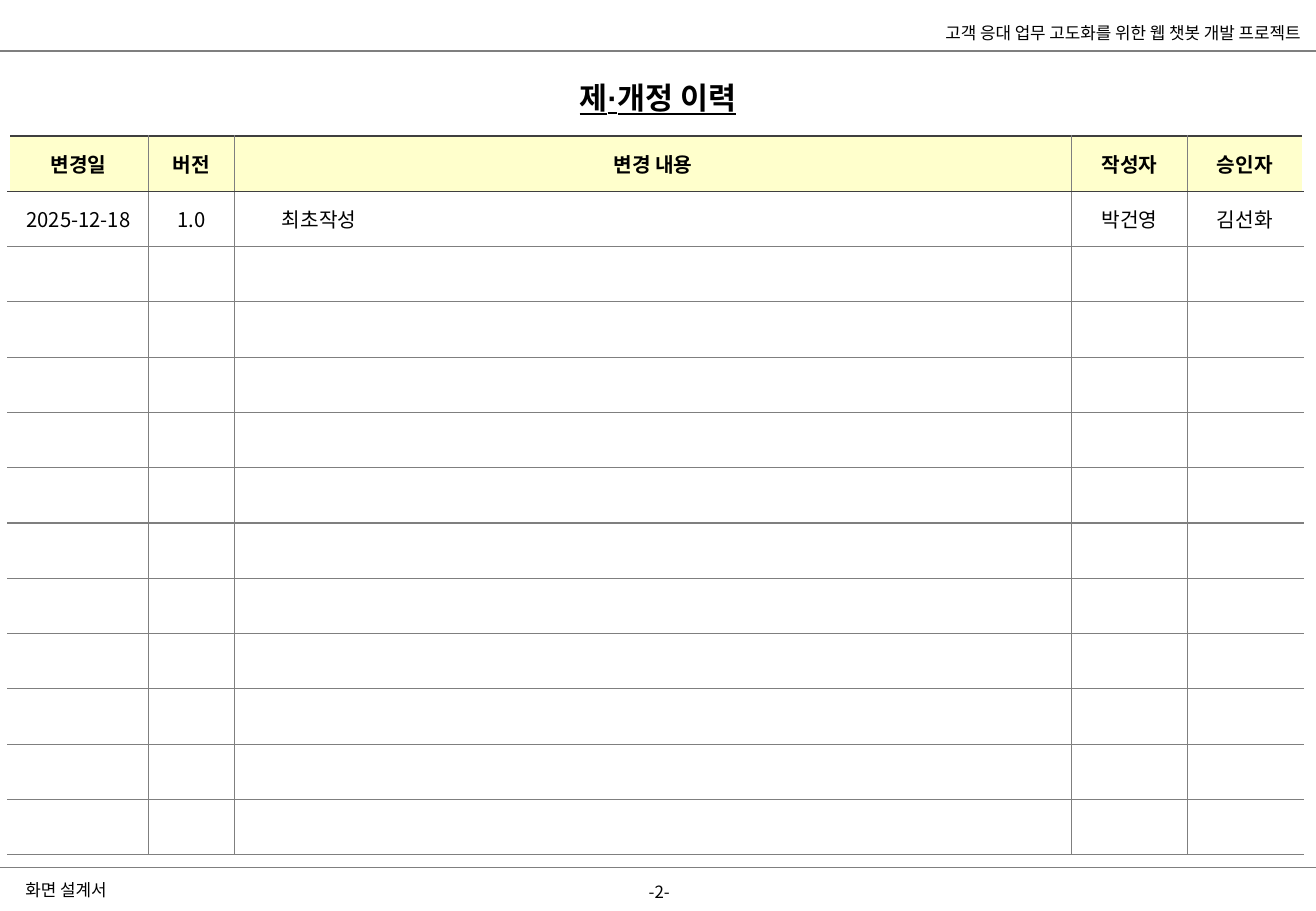
from lxml import etree
from pptx import Presentation
from pptx.dml.color import RGBColor
from pptx.enum.shapes import MSO_CONNECTOR
from pptx.enum.text import MSO_ANCHOR, MSO_AUTO_SIZE, PP_ALIGN
from pptx.oxml.ns import qn
from pptx.util import Inches, Pt

LEFT, CENTER, RIGHT = PP_ALIGN.LEFT, PP_ALIGN.CENTER, PP_ALIGN.RIGHT
TOP, MIDDLE = MSO_ANCHOR.TOP, MSO_ANCHOR.MIDDLE
STRAIGHT = MSO_CONNECTOR.STRAIGHT
NO_FIT = MSO_AUTO_SIZE.NONE

BLACK = RGBColor(0x00, 0x00, 0x00)
WHITE = RGBColor(0xFF, 0xFF, 0xFF)
GRAY = RGBColor(0x7F, 0x7F, 0x7F)
DARK = RGBColor(0x3F, 0x3F, 0x3F)
CREAM = RGBColor(0xFF, 0xFF, 0xCC)

FONT = "Noto Sans CJK KR"
TITLE_FONT = "Arial"
SLIDE_W, SLIDE_H = 10.83, 7.5

COLUMNS = [1.15, 0.71, 6.89, 0.95, 0.95]
HEADERS = ["변경일", "버전", "변경 내용", "작성자", "승인자"]
REVISIONS = [["2025-12-18", "1.0", "최초작성", "박건영", "김선화"]]
ROW_COUNT = 13
CONTENT_COL = 2


def write(tf, text, align=CENTER, font=FONT, **formats):
    p = tf.paragraphs[0]
    p.alignment = align
    r = p.add_run()
    r.text = text
    r.font.name = font
    r.font.color.rgb = BLACK
    for name, value in formats.items():
        setattr(r.font, name, value)
    ea = etree.SubElement(r.font._element, qn("a:ea"))
    ea.set("typeface", FONT)


def set_frame(frame, anchor, margins):
    frame.vertical_anchor = anchor
    for side, value in zip(("left", "top", "right", "bottom"), margins):
        setattr(frame, f"margin_{side}", Inches(value))


def add_label(s, box, text, align, anchor=MIDDLE, margins=(0, 0.04, 0, 0.04)):
    tf = s.shapes.add_textbox(*map(Inches, box)).text_frame
    tf.word_wrap = True
    set_frame(tf, anchor, margins)
    write(tf, text, align, size=Pt(10))


def add_rule(s, y, width):
    line = s.shapes.add_connector(STRAIGHT, 0, Inches(y), Inches(SLIDE_W), Inches(y))
    line.line.color.rgb = GRAY
    line.line.width = Pt(width)
    etree.SubElement(line._element.spPr, qn("a:effectLst"))


def set_borders(cell, borders):
    tcPr = cell._tc.get_or_add_tcPr()
    for i, (side, (color, width)) in enumerate(borders.items()):
        ln = etree.Element(qn(f"a:ln{side}"), w=str(Pt(width)))
        fill = etree.SubElement(ln, qn("a:solidFill"))
        etree.SubElement(fill, qn("a:srgbClr"), val=str(color))
        tcPr.insert(i, ln)


def add_header(s):
    add_label(s, (7.23, 0.18, 3.47, 0.18),
              "고객 응대 업무 고도화를 위한 웹 챗봇 개발 프로젝트", RIGHT)
    add_rule(s, 0.42, 1.5)


def add_footer(s, top):
    add_rule(s, top, 0.75)
    add_label(s, (0.21, top + 0.07, 4.74, 0.23), "화면 설계서", LEFT)
    add_label(s, (5.18, top + 0.07, 0.49, 0.27), "-2-", CENTER, TOP,
              (0.1, 0.05, 0.1, 0.05))


def add_title(s, box):
    title = s.shapes.title
    title.left, title.top, title.width, title.height = map(Inches, box)
    tf = title.text_frame
    tf.word_wrap = True
    tf.auto_size = NO_FIT
    set_frame(tf, TOP, (0.1, 0.05, 0.1, 0.05))
    write(tf, "제·개정 이력", font=TITLE_FONT, size=Pt(18), bold=True, underline=True)


def add_history(s, box):
    table = s.shapes.add_table(ROW_COUNT, len(COLUMNS), *map(Inches, box)).table
    for column, width in zip(table.columns, COLUMNS):
        column.width = Inches(width)
    texts = [HEADERS] + REVISIONS
    last_col = len(COLUMNS) - 1
    for i in range(ROW_COUNT):
        header = i == 0
        for j in range(len(COLUMNS)):
            cell = table.cell(i, j)
            cell.fill.solid()
            cell.fill.fore_color.rgb = CREAM if header else WHITE
            # White outer sides leave the table open at left and right
            set_borders(cell, {
                "L": (WHITE, 1.5) if j == 0 else (GRAY, 0.75),
                "R": (WHITE, 1.5) if j == last_col else (GRAY, 0.75),
                "T": (DARK, 1.5) if header else (DARK if i == 1 else GRAY, 0.75),
                "B": (DARK if header else GRAY, 0.75),
            })
            if i >= len(texts):
                continue
            content = j == CONTENT_COL and not header
            left = 0.39 if content else 0.05
            set_frame(cell, MIDDLE, (0.14, 0.06, 0.14, 0.06) if header
                      else (left, 0.05, 0.05, 0.05))
            write(cell.text_frame, texts[i][j], LEFT if content else CENTER,
                  size=Pt(12), bold=header)


def main():
    prs = Presentation()
    prs.slide_width, prs.slide_height = Inches(SLIDE_W), Inches(SLIDE_H)
    s = prs.slides.add_slide(prs.slide_layouts[5])
    add_header(s)
    add_footer(s, 7.14)
    add_history(s, (0.07, 1.12, sum(COLUMNS), 5.92))
    add_title(s, (4.51, 0.6, 1.81, 0.63))
    prs.save("out.pptx")


if __name__ == "__main__":
    main()
